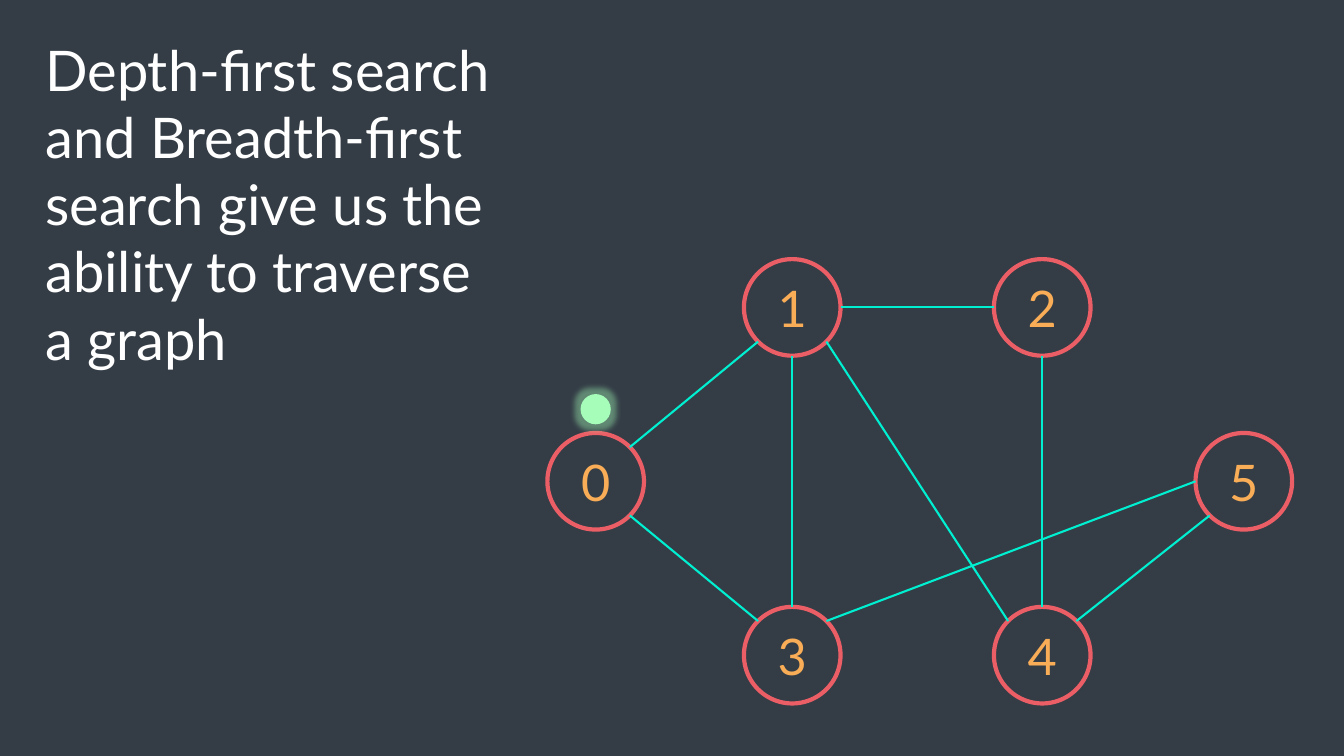
import math

import lxml.etree
import pptx
import pptx.dml.color
import pptx.enum.shapes
import pptx.enum.text
import pptx.oxml.ns
import pptx.util

Pt = pptx.util.Pt

COLORS = {
    "background": "343D46",
    "title": "FFFFFF",
    "edge": "00EFD1",
    "ring": "EC5E66",
    "label": "F9AD57",
    "marker": "A5FDB9",
}

NODE_SIZE = 69
ROW_TOP, ROW_GAP = 219.6, 124.2

# Node label: horizontal centre, row
NODES = {
    "0": (425.5, 1),
    "1": (565.9, 0),
    "2": (744.5, 0),
    "3": (565.9, 2),
    "4": (744.5, 2),
    "5": (888.5, 1),
}

# Connection sites of an ellipse, counter-clockwise from the top
TOP, TOP_LEFT, LEFT, BOTTOM_LEFT, BOTTOM, BOTTOM_RIGHT, RIGHT, TOP_RIGHT = range(8)

EDGES = [
    ("1", BOTTOM_LEFT, "0", TOP_RIGHT),
    ("3", TOP, "1", BOTTOM),
    ("0", BOTTOM_RIGHT, "3", TOP_LEFT),
    ("1", RIGHT, "2", LEFT),
    ("1", BOTTOM_RIGHT, "4", TOP_LEFT),
    ("2", BOTTOM, "4", TOP),
    ("4", TOP_RIGHT, "5", BOTTOM_LEFT),
    ("3", TOP_RIGHT, "5", LEFT),
]


def color(name):
    return pptx.dml.color.RGBColor.from_string(COLORS[name])


def add_xml(parent, tag, **attributes):
    return lxml.etree.SubElement(parent, pptx.oxml.ns.qn(tag), attributes)


def node_center(label):
    x, row = NODES[label]
    return x, ROW_TOP + row * ROW_GAP


def site_point(label, site):
    x, y = node_center(label)
    angle = math.radians(90 + 45 * site)
    radius = NODE_SIZE / 2
    return Pt(x + radius * math.cos(angle)), Pt(y - radius * math.sin(angle))


class GraphSlide:
    """Holds the style and the current slide."""

    font_name = "Lato"

    def __init__(self, presentation):
        self.slide = presentation.slides.add_slide(presentation.slide_layouts[5])
        background = self.slide.background.fill
        background.solid()
        background.fore_color.rgb = color("background")

    def add_text(self, paragraph, text, size, color_name):
        run = paragraph.add_run()
        run.text = text
        run.font.name = self.font_name
        run.font.size = Pt(size)
        run.font.color.rgb = color(color_name)

    def title(self, text, left, top, width, height):
        shape = self.slide.shapes.title
        shape.left, shape.top = Pt(left), Pt(top)
        shape.width, shape.height = Pt(width), Pt(height)
        frame = shape.text_frame
        frame.word_wrap = True
        frame.auto_size = pptx.enum.text.MSO_AUTO_SIZE.NONE
        frame.vertical_anchor = pptx.enum.text.MSO_ANCHOR.TOP
        paragraph = frame.paragraphs[0]
        paragraph.alignment = pptx.enum.text.PP_ALIGN.LEFT
        self.add_text(paragraph, text, 40, "title")

    def circle(self, x, y, size, fill_name):
        shape = self.slide.shapes.add_shape(
            pptx.enum.shapes.MSO_SHAPE.OVAL,
            Pt(x - size / 2), Pt(y - size / 2), Pt(size), Pt(size))
        shape.shadow.inherit = False
        shape.fill.solid()
        shape.fill.fore_color.rgb = color(fill_name)
        shape.line.fill.background()
        return shape

    def node(self, label):
        shape = self.circle(*node_center(label), NODE_SIZE, "background")
        shape.line.color.rgb = color("ring")
        shape.line.width = Pt(3)
        frame = shape.text_frame
        frame.vertical_anchor = pptx.enum.text.MSO_ANCHOR.MIDDLE
        paragraph = frame.paragraphs[0]
        paragraph.alignment = pptx.enum.text.PP_ALIGN.CENTER
        self.add_text(paragraph, label, 36, "label")
        return shape

    def edge(self, nodes, start, start_site, end, end_site):
        connector = self.slide.shapes.add_connector(
            pptx.enum.shapes.MSO_CONNECTOR.STRAIGHT,
            *site_point(start, start_site), *site_point(end, end_site))
        connector.line.color.rgb = color("edge")
        connector.line.width = Pt(1.5)
        add_xml(connector._element.spPr, "a:effectLst")
        # Attach both ends to their nodes
        links = connector._element.nvCxnSpPr.cNvCxnSpPr
        for tag, label, site in (("a:stCxn", start, start_site),
                                 ("a:endCxn", end, end_site)):
            add_xml(links, tag, id=str(nodes[label].shape_id), idx=str(site))

    def glowing_marker(self, x, y, size, radius):
        shape = self.circle(x, y, size, "marker")
        effects = shape._element.spPr.find(pptx.oxml.ns.qn("a:effectLst"))
        glow = add_xml(effects, "a:glow", rad=str(Pt(radius)))
        glow_color = add_xml(glow, "a:srgbClr", val=COLORS["marker"])
        add_xml(glow_color, "a:alpha", val="40000")


def main():
    presentation = pptx.Presentation()
    presentation.slide_width, presentation.slide_height = Pt(960), Pt(540)
    graph = GraphSlide(presentation)

    # Statement
    graph.title("Depth-first search and Breadth-first search give us "
                "the ability to traverse a graph", 25.2, 21.6, 348.5, 298)

    # Graph
    nodes = {label: graph.node(label) for label in NODES}
    for edge in EDGES:
        graph.edge(nodes, *edge)

    # Marker above the starting node
    graph.glowing_marker(NODES["0"][0], 292.3, 21.6, 8)

    presentation.save("out.pptx")


if __name__ == "__main__":
    main()
